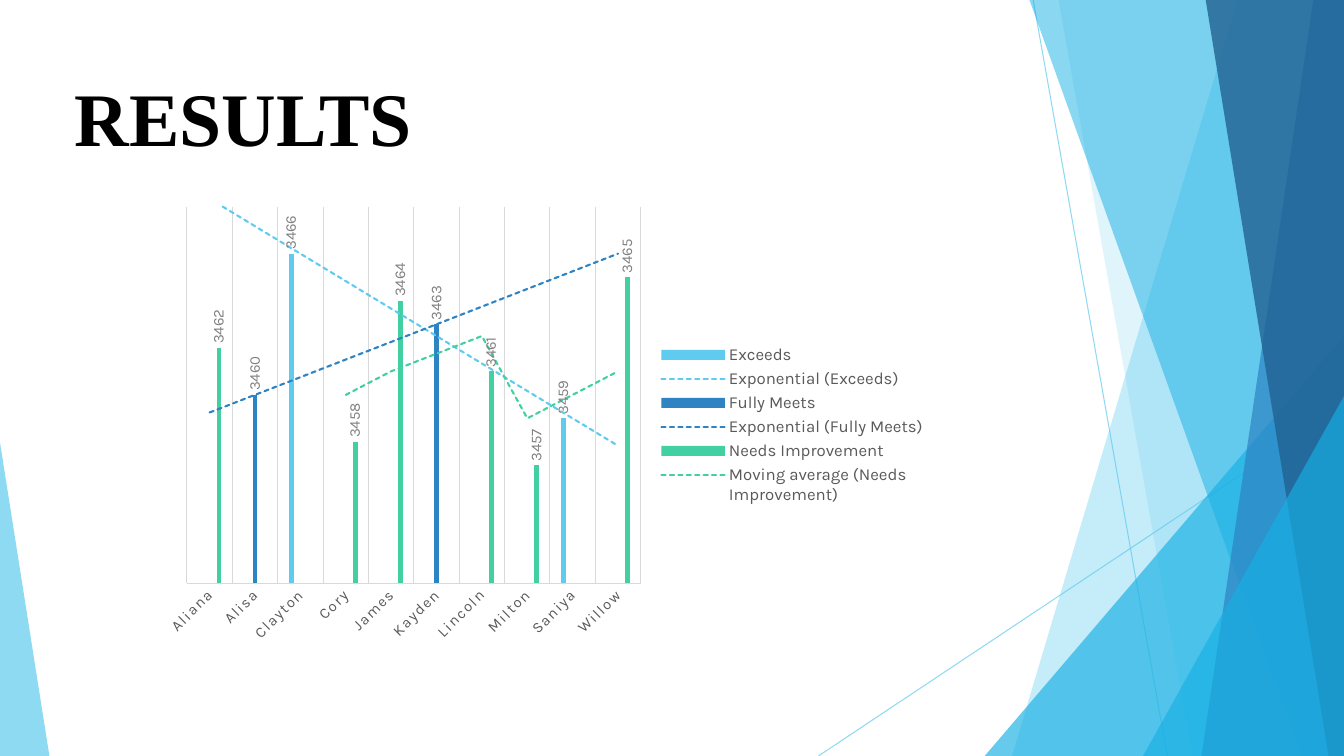
from dataclasses import dataclass

from lxml.etree import SubElement
from pptx import Presentation
from pptx.chart.data import CategoryChartData
from pptx.dml.color import RGBColor
from pptx.enum.chart import (XL_CHART_TYPE as ChartType, XL_LABEL_POSITION as LabelPosition,
                             XL_LEGEND_POSITION as LegendPosition, XL_TICK_MARK as TickMark)
from pptx.enum.shapes import MSO_CONNECTOR as Connector, MSO_SHAPE as Shape
from pptx.enum.text import MSO_ANCHOR as Anchor, PP_ALIGN as Align
from pptx.oxml import parse_xml
from pptx.oxml.ns import nsdecls, qn
from pptx.util import Pt


@dataclass(frozen=True)
class Theme:
    sky: str = "5FCBEF"
    cyan: str = "17B0E4"
    blue: str = "2E83C3"
    navy: str = "226292"
    green: str = "42D0A2"
    title: str = "000000"
    text: str = "595959"
    label: str = "808080"
    grid: str = "D9D9D9"
    title_font: str = "Times New Roman"
    chart_font: str = "Karla"
    title_size: float = 54
    legend_size: float = 11.97
    label_size: float = 10.64


THEME = Theme()
WIDTH, HEIGHT = 960, 540
BLEED = 0.7

TITLE = "RESULTS"
TITLE_BOX = (46, 46.5, 546.5, 72.5)
CHART_BOX = (108.3, 141.5, 560.9, 324)
PLOT_LAYOUT = {"x": 0.045, "y": 0.019, "w": 0.578, "h": 0.83}
VALUE_RANGE = (3452, 3468)

STUDENTS = ["Aliana", "Alisa", "Clayton", "Cory", "James",
            "Kayden", "Lincoln", "Milton", "Saniya", "Willow"]
# name, colour, trend type, score by student
RATINGS = [
    ("Exceeds", THEME.sky, "exp", {"Clayton": 3466, "Saniya": 3459}),
    ("Fully Meets", THEME.blue, "exp", {"Alisa": 3460, "Kayden": 3463}),
    ("Needs Improvement", THEME.green, "movingAvg",
     {"Aliana": 3462, "Cory": 3458, "James": 3464,
      "Lincoln": 3461, "Milton": 3457, "Willow": 3465}),
]

# start x, start y, end x, end y
RAYS = [(738, 0, 833.8, HEIGHT), (WIDTH, 290.2, 584.6, HEIGHT)]
# Bands: top left x, bottom left x. Triangles: left, top, width, apex position.
FACETS = [
    ("band", (884.2, 722.9), THEME.sky, 36),
    ("band", (756, 851.8), THEME.sky, 20),
    ("triangle", (703.4, 239.8, 256.6, 1), THEME.cyan, 66),
    ("band", (735.1, 929.5), THEME.cyan, 50),
    ("band", (938.2, 858.2), THEME.blue, 70),
    ("band", (861.1, 949), THEME.navy, 80),
    ("triangle", (816.5, 283, 143.5, 1), THEME.cyan, 66),
    ("triangle", (0, 316.1, 35.3, 0), THEME.sky, 70),
]


def points(values):
    return [Pt(value) for value in values]


def set_color(color_format, color, opacity=100):
    color_format.rgb = RGBColor.from_string(color)
    if opacity < 100:
        node = color_format._xFill.find(qn("a:srgbClr"))
        SubElement(node, qn("a:alpha")).set("val", str(opacity * 1000))


def set_font(font, name, size, color):
    font.name, font.size = name, Pt(size)
    set_color(font.color, color)


def set_line(line, color, width, opacity=100):
    line.fill.solid()
    set_color(line.fill.fore_color, color, opacity)
    line.width = Pt(width)


def rotate_text(element, degrees):
    body = element.find(qn("c:txPr")).find(qn("a:bodyPr"))
    body.set("rot", str(degrees * 60000))
    body.set("vert", "horz")


def add_band(shapes, top_left, bottom_left):
    """Add a four-sided panel that reaches the right edge of the slide."""
    corners = [(WIDTH, -BLEED), (WIDTH, HEIGHT), (bottom_left, HEIGHT)]
    builder = shapes.build_freeform(Pt(top_left), Pt(-BLEED))
    builder.add_line_segments([points(corner) for corner in corners], close=True)
    return builder.convert_to_shape()


def add_triangle(shapes, left, top, width, apex):
    triangle = shapes.add_shape(Shape.ISOSCELES_TRIANGLE,
                                *points((left, top, width, HEIGHT - top)))
    triangle.adjustments[0] = apex
    return triangle


def add_backdrop(shapes):
    for ray in RAYS:
        line = shapes.add_connector(Connector.STRAIGHT, *points(ray))
        set_line(line.line, THEME.sky, 0.75, 70)
        SubElement(line._element.spPr, qn("a:effectLst"))
    builders = {"band": add_band, "triangle": add_triangle}
    for kind, geometry, color, opacity in FACETS:
        facet = builders[kind](shapes, *geometry)
        facet.shadow.inherit = False
        facet.fill.solid()
        set_color(facet.fill.fore_color, color, opacity)
        facet.line.fill.background()


def add_title(title):
    title.left, title.top, title.width, title.height = points(TITLE_BOX)
    frame = title.text_frame
    frame.text = TITLE
    frame.vertical_anchor = Anchor.BOTTOM
    para = frame.paragraphs[0]
    para.alignment = Align.LEFT
    font = para.runs[0].font
    set_font(font, THEME.title_font, THEME.title_size, THEME.title)
    font.bold = True


def add_trend(series, kind, color):
    period = '<c:period val="2"/>' if kind == "movingAvg" else ""
    trend = parse_xml(
        f'<c:trendline {nsdecls("c", "a")}><c:spPr><a:ln w="{Pt(1.5)}" cap="rnd"><a:solidFill>'
        f'<a:srgbClr val="{color}"/></a:solidFill><a:prstDash val="sysDash"/></a:ln></c:spPr>'
        f'<c:trendlineType val="{kind}"/>{period}<c:dispRSqr val="0"/><c:dispEq val="0"/>'
        f'</c:trendline>')
    series._element.find(qn("c:cat")).addprevious(trend)


def place_plot(chart):
    """Fix the inner plot area as fractions of the chart."""
    area = chart._chartSpace.chart.plotArea
    for old in area.findall(qn("c:layout")):
        area.remove(old)
    sizes = "".join(f'<c:{key} val="{value}"/>' for key, value in PLOT_LAYOUT.items())
    area.insert(0, parse_xml(
        f'<c:layout {nsdecls("c")}><c:manualLayout><c:layoutTarget val="inner"/>'
        f'<c:xMode val="edge"/><c:yMode val="edge"/>{sizes}</c:manualLayout></c:layout>'))


def style_axes(chart):
    category, value = chart.category_axis, chart.value_axis
    category.major_tick_mark = category.minor_tick_mark = TickMark.NONE
    category.has_major_gridlines = True
    for line in (category.format.line, category.major_gridlines.format.line):
        set_line(line, THEME.grid, 0.75)
    font = category.tick_labels.font
    set_font(font, THEME.chart_font, THEME.label_size, THEME.text)
    font._element.set("spc", "120")
    rotate_text(category._element, -45)
    value.minimum_scale, value.maximum_scale = VALUE_RANGE
    value.has_major_gridlines = False
    value.visible = False


def add_results_chart(shapes):
    data = CategoryChartData()
    data.categories = STUDENTS
    for name, _, _, scores in RATINGS:
        data.add_series(name, [scores.get(student) for student in STUDENTS])
    chart = shapes.add_chart(ChartType.COLUMN_CLUSTERED, *points(CHART_BOX), data).chart
    set_font(chart.font, THEME.chart_font, 10, THEME.title)
    chart.has_title = False
    chart.has_legend = True
    chart.legend.position = LegendPosition.RIGHT
    chart.legend.include_in_layout = False
    set_font(chart.legend.font, THEME.chart_font, THEME.legend_size, THEME.text)
    style_axes(chart)
    place_plot(chart)
    plot = chart.plots[0]
    plot.vary_by_categories = False
    plot.gap_width, plot.overlap = 444, -90
    for series, (_, color, trend, _) in zip(plot.series, RATINGS):
        series.format.fill.solid()
        set_color(series.format.fill.fore_color, color)
        labels = series.data_labels
        labels.show_value = True
        labels.position = LabelPosition.OUTSIDE_END
        set_font(labels.font, THEME.chart_font, THEME.label_size, THEME.label)
        rotate_text(labels._element, -90)
        add_trend(series, trend, color)


def main():
    deck = Presentation()
    deck.slide_width, deck.slide_height = points((WIDTH, HEIGHT))
    slide = deck.slides.add_slide(deck.slide_layouts.get_by_name("Title Only"))
    add_backdrop(slide.shapes)
    add_title(slide.shapes.title)
    add_results_chart(slide.shapes)
    deck.save("out.pptx")


if __name__ == "__main__":
    main()
